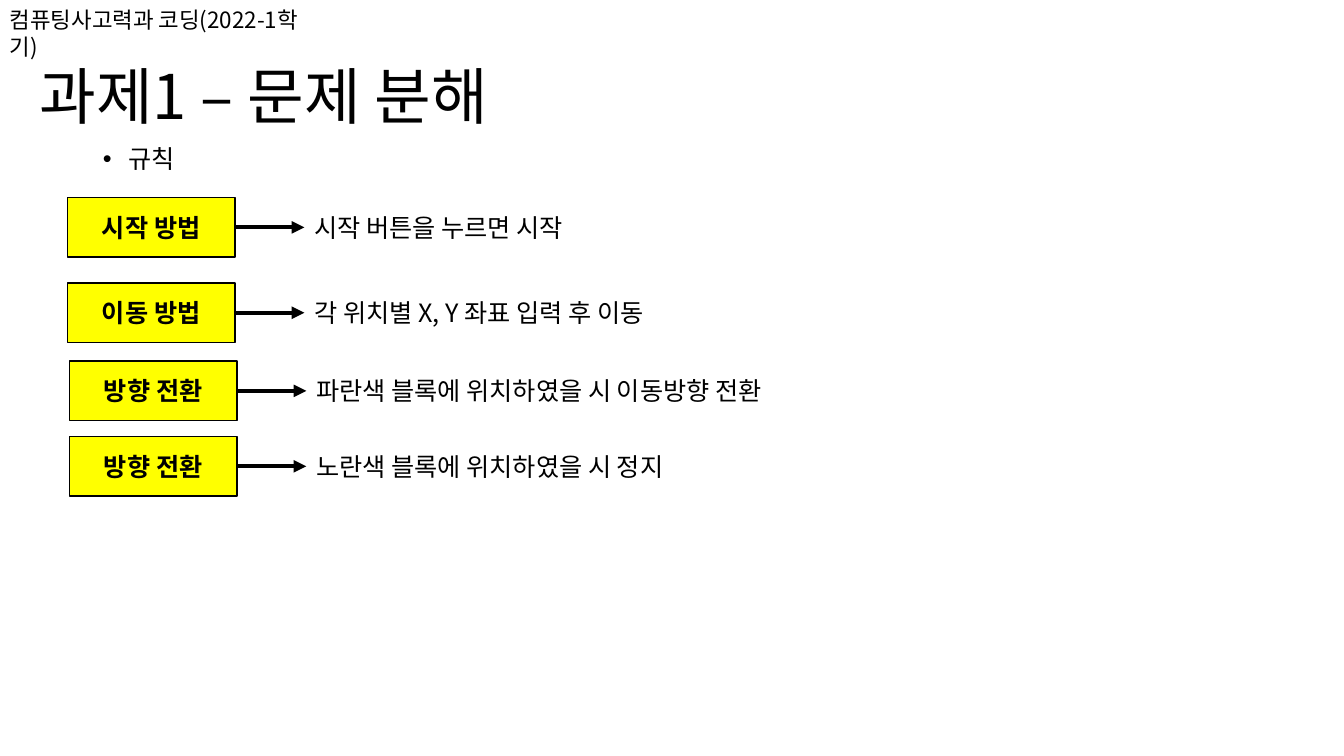
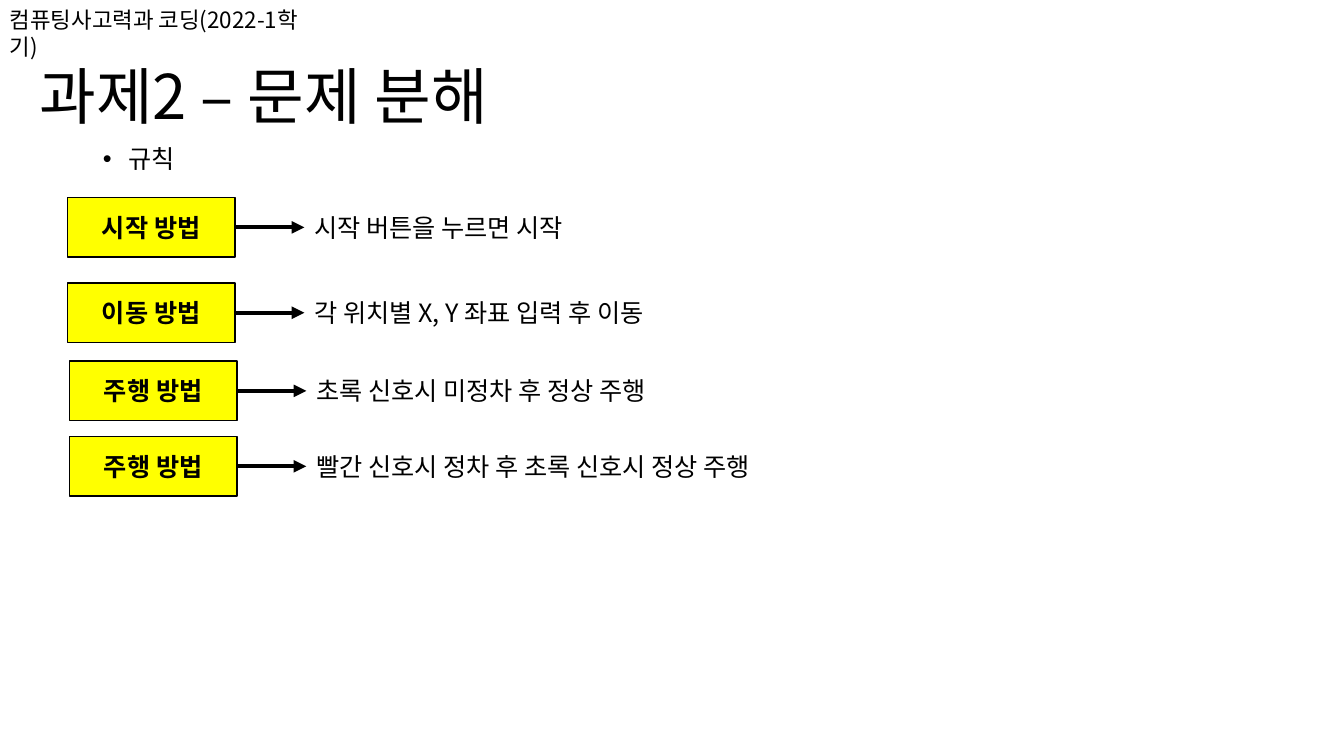
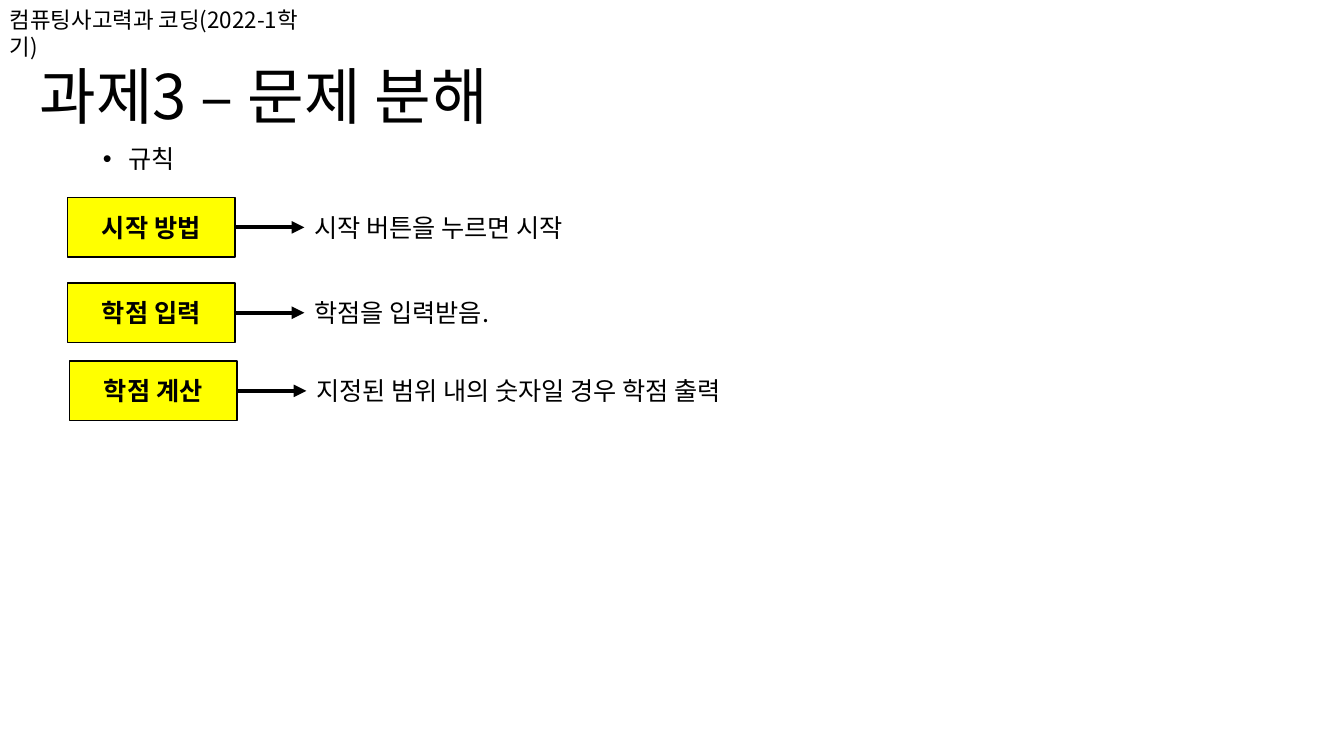
"""Build three slides that break each assignment down into its rules."""
from lxml import etree
from pptx import Presentation
from pptx.dml.color import RGBColor
from pptx.enum.shapes import MSO_CONNECTOR, MSO_SHAPE
from pptx.enum.text import MSO_ANCHOR, MSO_AUTO_SIZE, PP_ALIGN
from pptx.oxml.ns import qn
from pptx.util import Cm, Pt

RECTANGLE = MSO_SHAPE.RECTANGLE
STRAIGHT = MSO_CONNECTOR.STRAIGHT
LEFT, CENTER = PP_ALIGN.LEFT, PP_ALIGN.CENTER
TOP, MIDDLE = MSO_ANCHOR.TOP, MSO_ANCHOR.MIDDLE
FIXED, GROW = MSO_AUTO_SIZE.NONE, MSO_AUTO_SIZE.SHAPE_TO_FIT_TEXT

FONT = "Noto Sans CJK KR"
COLORS = {"text": "000000", "line": "000000", "box": "FFFF00", "background": "FFFFFF"}

HEADER = "컴퓨팅사고력과 코딩(2022-1학기)"
LIST_HEADING = "규칙"
START_RULE = ("시작 방법", "시작 버튼을 누르면 시작")
MOVE_RULE = ("이동 방법", "각 위치별 X, Y 좌표 입력 후 이동")
SLIDES = [
    ("과제1 – 문제 분해", [
        START_RULE,
        MOVE_RULE,
        ("방향 전환", "파란색 블록에 위치하였을 시 이동방향 전환"),
        ("방향 전환", "노란색 블록에 위치하였을 시 정지"),
    ]),
    ("과제2 – 문제 분해", [
        START_RULE,
        MOVE_RULE,
        ("주행 방법", "초록 신호시 미정차 후 정상 주행"),
        ("주행 방법", "빨간 신호시 정차 후 초록 신호시 정상 주행"),
    ]),
    ("과제3 – 문제 분해", [
        START_RULE,
        ("학점 입력", "학점을 입력받음."),
        ("학점 계산", "지정된 범위 내의 숫자일 경우 학점 출력"),
    ]),
]

TITLE_AREA = (0.74, 1.45, 30.81, 2.13)
BODY_AREA = (2.34, 3.58, 29.21, 13.56)
HEADER_AREA = (0, 0.03, 8.46, 0.94)
ROWS = [(1.7, 4.98, 12), (1.7, 7.13, 12), (1.75, 9.1, 13.92), (1.75, 11, 13.92)]
BOX_WIDTH, BOX_HEIGHT = 4.22, 1.5
ARROW_LENGTH = 1.75
TEXT_HEIGHT = 1.02


def color(name):
    """Return a palette colour."""
    return RGBColor.from_string(COLORS[name])


def lengths(*values):
    """Convert centimetres to slide lengths."""
    return [Cm(value) for value in values]


def write(shape, text, size=18, bold=False, align=LEFT, anchor=TOP,
          fit=FIXED, line_spacing=None, space_before=None):
    """Put formatted text in a shape and return its paragraph."""
    frame = shape.text_frame
    frame.word_wrap = True
    frame.auto_size = fit
    frame.vertical_anchor = anchor
    paragraph = frame.paragraphs[0]
    paragraph.alignment = align
    paragraph.line_spacing = line_spacing
    paragraph.space_before = space_before
    run = paragraph.add_run()
    run.text = text
    run.font.size = Pt(size)
    run.font.bold = bold
    run.font.name = FONT
    run.font.color.rgb = color("text")
    etree.SubElement(run.font._element, qn("a:ea"), typeface=FONT)
    return paragraph


def place(shape, area):
    """Move and resize a shape."""
    shape.left, shape.top, shape.width, shape.height = lengths(*area)


def add_arrow(shapes, source, target):
    """Join the right side of one shape to the left side of another."""
    arrow = shapes.add_connector(STRAIGHT, 0, 0, 0, 0)
    arrow.begin_connect(source, 3)
    arrow.end_connect(target, 1)
    arrow.line.color.rgb = color("line")
    arrow.line.width = Pt(3)
    etree.SubElement(arrow.line._get_or_add_ln(), qn("a:tailEnd"), type="triangle")
    etree.SubElement(arrow.element.spPr, qn("a:effectLst"))


def add_rule(slide, row, label, description):
    """Add one group of label box, arrow and description."""
    left, top, text_width = row
    shapes = slide.shapes.add_group_shape().shapes
    box = shapes.add_shape(RECTANGLE, *lengths(left, top, BOX_WIDTH, BOX_HEIGHT))
    box.shadow.inherit = False
    box.fill.solid()
    box.fill.fore_color.rgb = color("box")
    box.line.color.rgb = color("line")
    box.line.width = Pt(1)
    write(box, label, bold=True, align=CENTER, anchor=MIDDLE)

    text_left = left + BOX_WIDTH + ARROW_LENGTH
    text_top = top + (BOX_HEIGHT - TEXT_HEIGHT) / 2
    textbox = shapes.add_textbox(*lengths(text_left, text_top, text_width, TEXT_HEIGHT))
    write(textbox, description, fit=GROW)
    add_arrow(shapes, box, textbox)


def add_header(slide, master):
    """Put the course name on the master, where all slides share it."""
    header = slide.shapes.add_textbox(*lengths(*HEADER_AREA))
    write(header, HEADER, size=16, fit=GROW)
    header.element.nvSpPr.cNvPr.id = 20
    master.shapes.element.append(header.element)


def add_slide(presentation, layout, title, rules):
    """Add a slide with a title, a list heading and its rules."""
    slide = presentation.slides.add_slide(layout)
    write(slide.shapes.title, title, size=44, anchor=MIDDLE, line_spacing=0.9)
    heading = write(slide.placeholders[1], LIST_HEADING,
                    line_spacing=0.9, space_before=Pt(10))
    properties = heading._p.get_or_add_pPr()
    properties.set("marL", str(Cm(0.64)))
    properties.set("indent", str(-Cm(0.64)))
    for row, (label, description) in zip(ROWS, rules):
        add_rule(slide, row, label, description)
    return slide


def main():
    """Build and save the presentation."""
    presentation = Presentation()
    presentation.slide_width, presentation.slide_height = lengths(33.87, 19.05)
    master = presentation.slide_master
    master.background.fill.solid()
    master.background.fill.fore_color.rgb = color("background")
    layout = presentation.slide_layouts[1]
    for placeholder, area in zip(layout.placeholders, (TITLE_AREA, BODY_AREA)):
        place(placeholder, area)
    slides = [add_slide(presentation, layout, *content) for content in SLIDES]
    add_header(slides[0], master)
    presentation.save("out.pptx")


if __name__ == "__main__":
    main()
